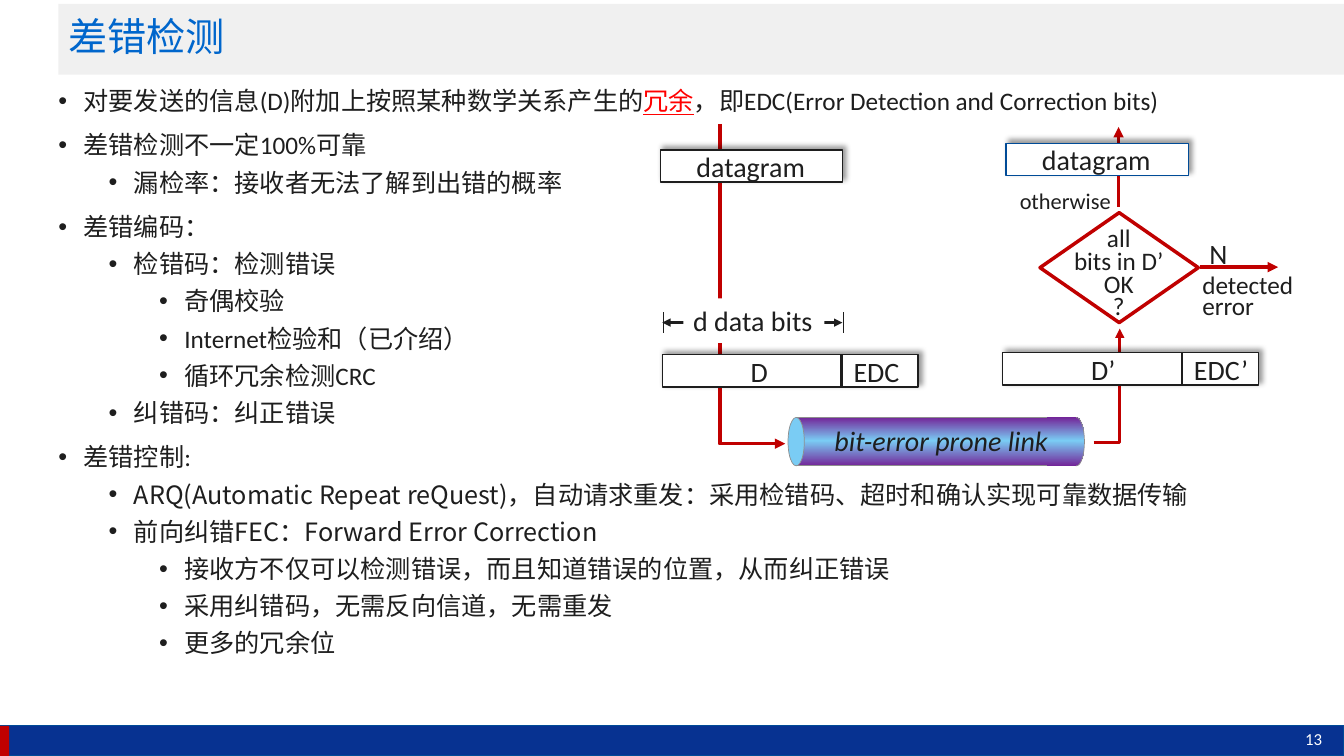
from copy import deepcopy

from lxml import etree
from pptx import Presentation
from pptx.dml.color import RGBColor
from pptx.enum.shapes import MSO_CONNECTOR, MSO_SHAPE
from pptx.enum.text import MSO_ANCHOR, PP_ALIGN
from pptx.oxml.ns import qn
from pptx.util import Cm, Pt

COLORS = {
    "ink": "1E1E1E", "white": "FFFFFF", "flow": "C00000", "alert": "FF0000",
    "title": "0066CC", "band": "F0F0F0", "footer": "073291", "edge": "004B97",
    "purple": "732699", "sky": "7ACCF4", "rim": "8E8E8E", "shadow": "000000",
}
LATIN, CJK, TITLE_FONT = "Calibri", "Noto Sans CJK SC", "Noto Sans Mono"

# Level, font and text runs; the second run of a paragraph is emphasised
POINTS = [
    (0, LATIN, ["对要发送的信息(D)附加上按照某种数学关系产生的", "冗余",
                "，即EDC(Error Detection and Correction bits)"]),
    (0, LATIN, ["差错检测不一定100%可靠"]),
    (1, LATIN, ["漏检率：接收者无法了解到出错的概率"]),
    (0, LATIN, ["差错编码："]),
    (1, LATIN, ["检错码：检测错误"]),
    (2, LATIN, ["奇偶校验"]),
    (2, LATIN, ["Internet检验和（已介绍）"]),
    (2, LATIN, ["循环冗余检测CRC"]),
    (1, LATIN, ["纠错码：纠正错误"]),
    (0, LATIN, ["差错控制:"]),
    (1, CJK, ["ARQ(Automatic Repeat reQuest)，自动请求重发：采用检错码、超时和确认实现可靠数据传输"]),
    (1, CJK, ["前向纠错FEC：Forward Error Correction"]),
    (2, CJK, ["接收方不仅可以检测错误，而且知道错误的位置，从而纠正错误"]),
    (2, CJK, ["采用纠错码，无需反向信道，无需重发"]),
    (2, CJK, ["更多的冗余位"]),
]


def color(name):
    return RGBColor.from_string(COLORS[name])


def style_font(font, size, name=LATIN, ink="ink"):
    font.size, font.name = Pt(size), name
    font.color.rgb = color(ink)


def set_line(shape, ink, width):
    shape.line.color.rgb = color(ink)
    shape.line.width = Pt(width)


def add_arrowheads(shape, *ends):
    outline = shape.element.spPr.find(qn("a:ln"))
    for end in ends:
        etree.SubElement(outline, qn(f"a:{end}"), type="triangle")


def add_block(slide, kind, left, top, width, height, fill=None, ink=None, line_width=1):
    shape = slide.shapes.add_shape(kind, Cm(left), Cm(top), Cm(width), Cm(height))
    shape.shadow.inherit = False
    if fill:
        shape.fill.solid()
        shape.fill.fore_color.rgb = color(fill)
    if ink:
        set_line(shape, ink, line_width)
    else:
        shape.line.fill.background()
    return shape


def add_shadow(shape):
    effects = shape.element.spPr.find(qn("a:effectLst"))
    shadow = etree.SubElement(effects, qn("a:outerShdw"), blurRad=str(Pt(4)),
                              dist=str(Pt(3)), dir=str(315 * 60000))
    tint = etree.SubElement(shadow, qn("a:srgbClr"), val=COLORS["shadow"])
    etree.SubElement(tint, qn("a:alpha"), val="40000")


def add_tube_gradient(shape):
    shape.fill.gradient()
    shape.fill.gradient_angle = 90
    stops = shape.element.spPr.find(qn("a:gradFill")).find(qn("a:gsLst"))
    stops.insert(1, deepcopy(stops[0]))
    bands = [(0, "purple"), (0.52, "sky"), (1, "purple")]
    for stop, (position, name) in zip(shape.fill.gradient_stops, bands):
        stop.position = position
        stop.color.rgb = color(name)


def add_label(slide, left, top, width, height, lines, size=20, ink="ink",
              spacing=None, align=PP_ALIGN.LEFT, italic=None):
    label = slide.shapes.add_textbox(Cm(left), Cm(top), Cm(width), Cm(height))
    frame = label.text_frame
    frame.word_wrap = False
    frame.text = "\n".join(lines)
    for paragraph in frame.paragraphs:
        paragraph.alignment = align
        paragraph.line_spacing = spacing
        style_font(paragraph.font, size, ink=ink)
        paragraph.font.italic = italic
    return label


def add_segment(slide, start, end, ink="ink", width=1.75, heads=()):
    points = [Cm(value) for value in (*start, *end)]
    connector = slide.shapes.add_connector(MSO_CONNECTOR.STRAIGHT, *points)
    set_line(connector, ink, width)
    add_arrowheads(connector, *heads)
    etree.SubElement(connector.element.spPr, qn("a:effectLst"))


def add_bent_arrow(slide, points, width):
    start, *rest = [(Cm(x), Cm(y)) for x, y in points]
    builder = slide.shapes.build_freeform(*start)
    builder.add_line_segments(rest, close=False)
    arrow = builder.convert_to_shape()
    arrow.shadow.inherit = False
    arrow.fill.background()
    set_line(arrow, "flow", width)
    add_arrowheads(arrow, "tailEnd")


def add_datagram(slide, left, top, ink):
    add_shadow(add_block(slide, MSO_SHAPE.RECTANGLE, left, top, 4.6, 0.81, "white", ink))
    add_label(slide, left + 0.66, top - 0.14, 3.28, 1.12, ["datagram"])


def add_frame(slide, left, top, data, check):
    add_shadow(add_block(slide, MSO_SHAPE.RECTANGLE, left, top, 6.45, 0.81, "white", "ink"))
    add_label(slide, left + 1.98, top - 0.14, 1.3, 1.12, [data])
    add_label(slide, left + 4.57, top - 0.14, 2.2, 1.12, [check])
    add_segment(slide, (left + 4.52, top), (left + 4.52, top + 0.81))


# Footer bar with page number
def add_footer(slide, left, top, width, height):
    add_block(slide, MSO_SHAPE.RECTANGLE, left, top, width, height, "footer", "edge")
    add_label(slide, left + 32.64, top - 0.05, 1.2, height, ["13"], 12, "white")
    add_block(slide, MSO_SHAPE.RECTANGLE, left, top, 0.23, height, "flow")


# Title band
def add_title(slide, left, top, width, height):
    band = add_block(slide, MSO_SHAPE.RECTANGLE, left, top, width, height, "band")
    frame = band.text_frame
    frame.vertical_anchor = MSO_ANCHOR.MIDDLE
    paragraph = frame.paragraphs[0]
    paragraph.text = "差错检测"
    paragraph.alignment = PP_ALIGN.LEFT
    paragraph.line_spacing = 0.9
    style_font(paragraph.font, 28, TITLE_FONT, "title")


# Bulleted text
def add_points(slide, left, top, width, height):
    box = slide.shapes.add_textbox(Cm(left), Cm(top), Cm(width), Cm(height))
    frame = box.text_frame
    frame.word_wrap = True
    for index, (level, font_name, texts) in enumerate(POINTS):
        paragraph = frame.add_paragraph() if index else frame.paragraphs[0]
        paragraph.level = level
        properties = paragraph._p.get_or_add_pPr()
        properties.set("marL", str(Cm(0.635 + 1.27 * level)))
        properties.set("indent", str(Cm(-0.635)))
        etree.SubElement(properties, qn("a:buFont"), typeface="Arial")
        etree.SubElement(properties, qn("a:buChar"), char="•")
        paragraph.line_spacing = Pt(21.6)
        if index:
            paragraph.space_before = Pt(5 if level else 10)
        style_font(paragraph.font, 18, font_name)
        for position, text in enumerate(texts):
            run = paragraph.add_run()
            run.text = text
            if position == 1:
                run.font.color.rgb = color("alert")
                run.font.underline = True


# Sending side: datagram, data width and coded frame
def add_sender(slide, left, top):
    add_bent_arrow(slide, [(left + 1.5, top), (left + 1.5, top + 8.06),
                           (left + 3.15, top + 8.06)], 2.5)
    add_datagram(slide, left, top + 0.66, "ink")
    add_frame(slide, left + 0.05, top + 5.82, "D", "EDC")
    add_segment(slide, (left + 0.05, top + 5.01), (left + 4.59, top + 5.01),
                heads=("headEnd", "tailEnd"))
    label = add_label(slide, left + 0.58, top + 4.4, 3.56, 1.12, ["d data bits"])
    label.fill.solid()
    label.fill.fore_color.rgb = color("white")
    for x in (left + 0.07, left + 4.62):
        add_segment(slide, (x, top + 4.75), (x, top + 5.26), width=0.5)


# Tube-shaped link
def add_link(slide, left, top, width, height):
    cap = 0.41
    body = add_block(slide, MSO_SHAPE.RECTANGLE, left + cap / 2, top, width - cap, height,
                     ink="rim", line_width=0.5)
    add_block(slide, MSO_SHAPE.OVAL, left, top, cap, height, "sky", "rim", 0.5)
    end = add_block(slide, MSO_SHAPE.OVAL, left + width - cap, top, cap, height,
                    ink="rim", line_width=0.5)
    seam = add_block(slide, MSO_SHAPE.RECTANGLE, left + 6.53, top, 0.74, height)
    for part in (body, end, seam):
        add_tube_gradient(part)
    add_label(slide, left + 0.92, top + 0.03, 5.94, 1.12, ["bit-error prone link"], italic=True)


# Receiving side: coded frame, check and result
def add_receiver(slide, left, top):
    add_bent_arrow(slide, [(left + 2.29, top + 7.95), (left + 2.95, top + 7.95),
                           (left + 2.95, top + 5.08)], 2.25)
    add_frame(slide, left, top + 5.69, "D’", "EDC’")
    add_block(slide, MSO_SHAPE.DIAMOND, left + 0.94, top + 2.16, 3.99, 2.77,
              "white", "flow", 2.5)
    add_label(slide, left + 1.53, top + 2.46, 2.79, 2.59, ["all", "bits in D’", "OK", "?"],
              18, spacing=0.75, align=PP_ALIGN.CENTER)
    add_label(slide, left + 4.96, top + 2.64, 0.97, 1.12, ["N"])
    add_label(slide, left + 4.78, top + 3.66, 2.97, 1.37, ["detected", "error"], 18, spacing=0.7)
    add_segment(slide, (left + 4.96, top + 3.53), (left + 6.94, top + 3.53),
                "flow", 2.5, ["tailEnd"])
    add_segment(slide, (left + 2.92, top + 2.01), (left + 2.92, top), "flow", 2.5, ["tailEnd"])
    add_label(slide, left + 0.18, top + 1.58, 2.84, 0.76, ["otherwise"], 16, spacing=0.7)
    add_datagram(slide, left + 0.08, top + 0.41, "edge")


def main():
    presentation = Presentation()
    presentation.slide_width, presentation.slide_height = Cm(33.87), Cm(19.05)
    slide = presentation.slides.add_slide(presentation.slide_layouts[6])
    add_footer(slide, 0, 18.29, 33.87, 0.76)
    add_title(slide, 1.47, 0.1, 32.4, 1.78)
    add_points(slide, 1.22, 2.03, 31.37, 15.57)
    add_sender(slide, 16.64, 3.12)
    add_link(slide, 19.86, 10.52, 7.47, 1.22)
    add_receiver(slide, 25.27, 3.2)
    presentation.save("out.pptx")


if __name__ == "__main__":
    main()
